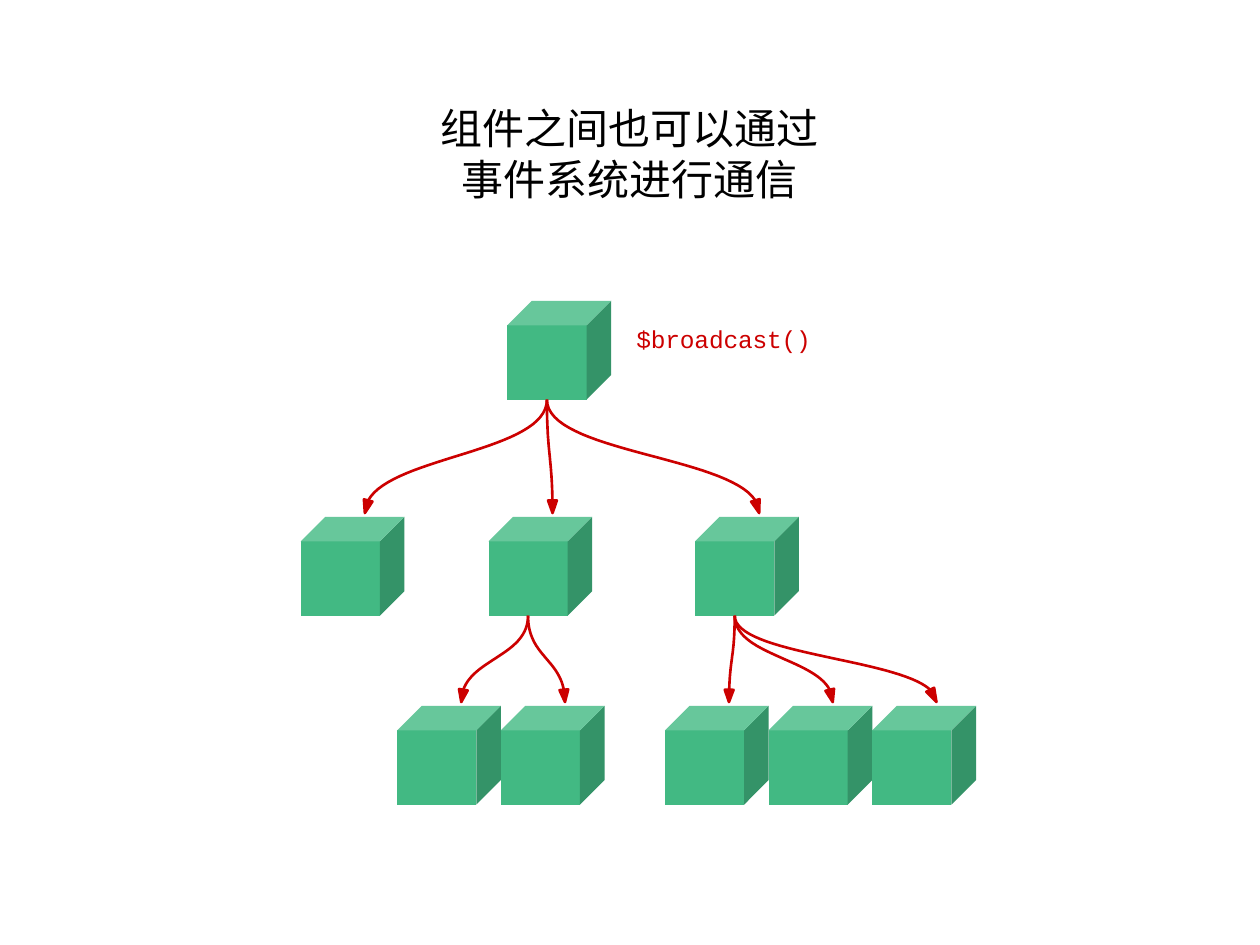
from collections import namedtuple
from math import hypot

from lxml import etree
from pptx import Presentation
from pptx import util as u
from pptx.dml.color import RGBColor
from pptx.enum import text
from pptx.oxml import ns

Box = namedtuple("Box", "x y w h")


class Theme:
    front = RGBColor(0x42, 0xB9, 0x83)
    side = RGBColor(0x34, 0x93, 0x68)
    top = RGBColor(0x67, 0xC7, 0x9B)
    event = RGBColor(0xCC, 0x00, 0x00)
    ink = RGBColor(0x00, 0x00, 0x00)
    sc, jp, code = "Noto Sans CJK SC", "Noto Sans CJK JP", "Courier New"
    title_size, code_size = u.Pt(24), u.Pt(14)
    leading, lead_in = u.Pt(28.6), u.Pt(1)
    stroke = u.Pt(1.5)


COLS, ROWS = 100, 75
CELL = u.Inches(10) // COLS
CUBE_W, CUBE_H = 8.23, 7.85
DEPTH = 1.95
HEAD_LENGTH, HEAD_HALF = 1, 0.35
TIP_GAP = 0.3

TITLE = [
    [("组", Theme.sc), ("件之", Theme.jp), ("间", Theme.sc),
     ("也可以通", Theme.jp), ("过", Theme.sc)],
    [("事件系", Theme.jp), ("统进", Theme.sc), ("行通信", Theme.jp)],
]


def cube_box(x, y):
    return Box(x, y, CUBE_W, CUBE_H)


def siblings(x, y, count):
    return [cube_box(x + i * CUBE_W, y) for i in range(count)]


def add_outline(slide, points, fill=None, line=None, close=True):
    pts = [(round(x * CELL), round(y * CELL)) for x, y in points]
    builder = slide.shapes.build_freeform(*pts[0])
    builder.add_line_segments(pts[1:], close=close)
    sp = builder.convert_to_shape()
    sp.shadow.inherit = False
    if fill is None:
        sp.fill.background()
    else:
        sp.fill.solid()
        sp.fill.fore_color.rgb = fill
    if line is None:
        sp.line.fill.background()
    else:
        sp.line.color.rgb = line
        sp.line.width = Theme.stroke


def add_cube(slide, box):
    x, y, right, bottom = box.x, box.y, box.x + box.w, box.y + box.h
    edge, rim = right - DEPTH, y + DEPTH
    add_outline(slide, [(x, rim), (edge, rim), (edge, bottom), (x, bottom)], Theme.front)
    add_outline(slide, [(edge, bottom), (edge, rim), (right, y), (right, bottom - DEPTH)],
                Theme.side)
    add_outline(slide, [(edge, rim), (x, rim), (x + DEPTH, y), (right, y)], Theme.top)


def add_event_arrow(slide, parent, child, steps=32):
    x0, y0 = parent.x + (parent.w - DEPTH) / 2, parent.y + parent.h
    x1, y1 = child.x + (child.w + DEPTH) / 2, child.y - TIP_GAP
    end = 1 - 0.72 * HEAD_LENGTH / (y1 - y0)

    def curve(t):
        across = t * t * (3 - 2 * t)
        down = 1.5 * t * (1 - t) + t ** 3
        return x0 + (x1 - x0) * across, y0 + (y1 - y0) * down

    points = [curve(end * i / steps) for i in range(steps + 1)]
    add_outline(slide, points, line=Theme.event, close=False)
    bx, by = points[-1]
    length = hypot(x1 - bx, y1 - by)
    dx, dy = HEAD_HALF * (x1 - bx) / length, HEAD_HALF * (y1 - by) / length
    add_outline(slide, [(bx - dy, by + dx), (x1, y1), (bx + dy, by - dx)],
                Theme.event, Theme.event)


def add_frame(slide, box):
    tf = slide.shapes.add_textbox(*(round(v * CELL) for v in box)).text_frame
    tf.word_wrap = True
    tf.margin_left = tf.margin_right = tf.margin_bottom = 0
    tf.margin_top = u.Inches(0.01)
    tf.paragraphs[0].space_before = Theme.lead_in
    return tf


def add_run(p, words, font, size, color):
    r = p.add_run()
    r.text = words
    r.font.name, r.font.size = font, size
    r.font.color.rgb = color
    etree.SubElement(r.font._element, ns.qn("a:ea"), typeface=font)
    return r


def add_title(slide, box):
    tf = add_frame(slide, box)
    for i, runs in enumerate(TITLE):
        p = tf.add_paragraph() if i else tf.paragraphs[0]
        p.alignment = text.PP_ALIGN.CENTER
        p.line_spacing = Theme.leading
        for words, font in runs:
            add_run(p, words, font, Theme.title_size, Theme.ink)


def add_event_label(slide, box):
    p = add_frame(slide, box).paragraphs[0]
    r = add_run(p, "$broadcast()", Theme.code, Theme.code_size, Theme.event)
    r.font._element.set("spc", "-10")


def add_component_tree(slide, box):
    middle, low = box.y + 17.15, box.y + 32.15
    root = cube_box(box.x + 16.4, box.y)
    branches = [cube_box(box.x + dx, middle) for dx in (0, 14.9, 31.3)]
    left = siblings(box.x + 7.65, low, 2)
    right = siblings(box.x + 28.9, low, 3)
    for cube in [root, *branches, *left, *right]:
        add_cube(slide, cube)
    for parent, children in ((root, branches), (branches[1], left), (branches[2], right)):
        for child in children:
            add_event_arrow(slide, parent, child)


def main():
    prs = Presentation()
    prs.slide_width, prs.slide_height = COLS * CELL, ROWS * CELL
    slide = prs.slides.add_slide(prs.slide_layouts[6])
    add_title(slide, Box(24.8, 8.1, 50.3, 8.2))
    add_component_tree(slide, Box(23.87, 23.87, 53.6, 40))
    add_event_label(slide, Box(50.5, 25.6, 14.5, 2.6))
    prs.save("out.pptx")


if __name__ == "__main__":
    main()
